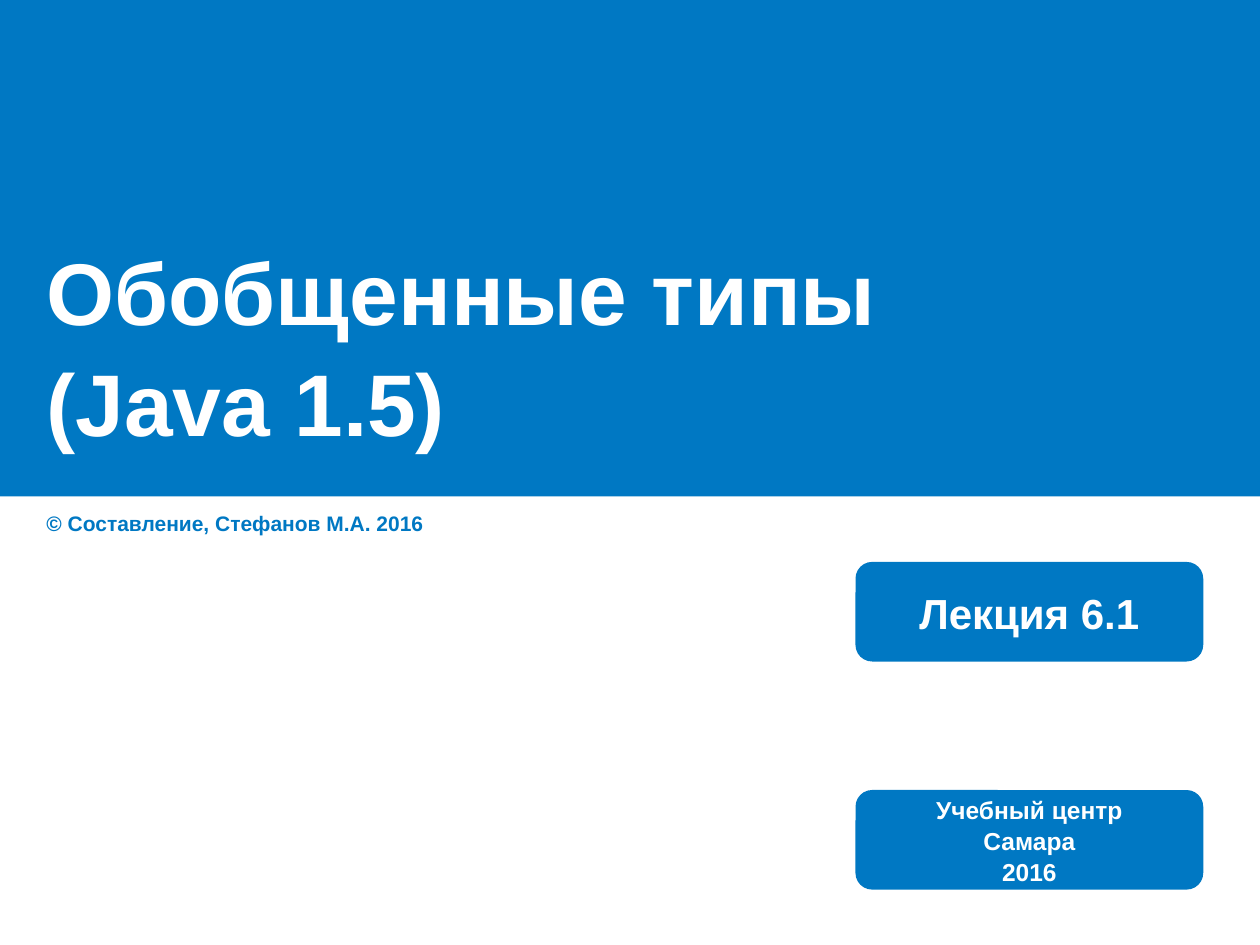
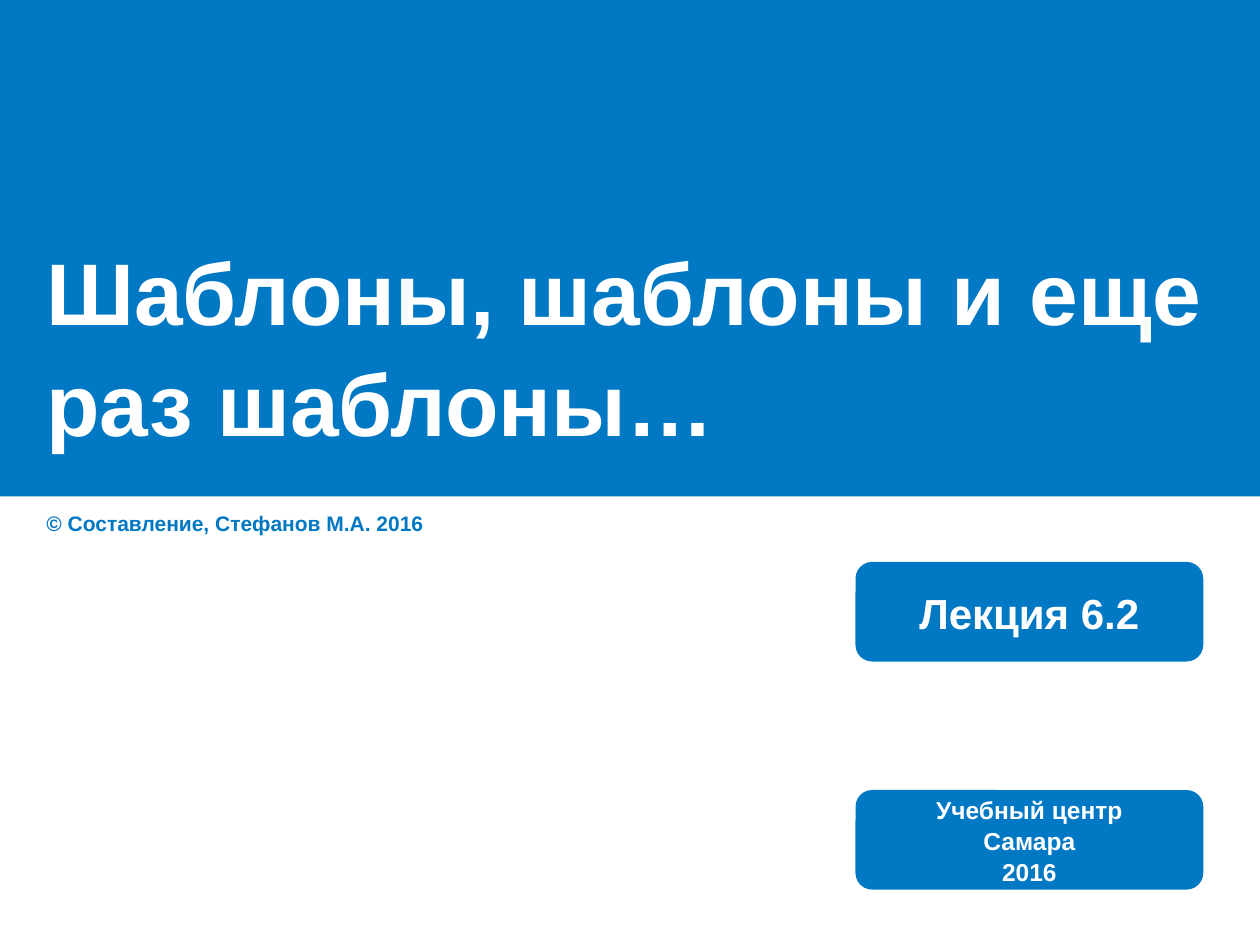
import dataclasses

import pptx
import pptx.dml.color
import pptx.enum.shapes
import pptx.enum.text
import pptx.util

Inches = pptx.util.Inches
Shape = pptx.enum.shapes.MSO_SHAPE
Align = pptx.enum.text.PP_ALIGN
Anchor = pptx.enum.text.MSO_ANCHOR


@dataclasses.dataclass(frozen=True)
class Theme:
    blue: pptx.dml.color.RGBColor = pptx.dml.color.RGBColor(0x00, 0x78, 0xC3)
    white: pptx.dml.color.RGBColor = pptx.dml.color.RGBColor(0xFF, 0xFF, 0xFF)
    font: str = "Arial"
    title_size: int = 50
    lecture_size: int = 24
    school_size: int = 14
    copyright_size: int = 12
    line_spacing: float = 1.05


theme = Theme()


def add_blue_shape(slide, preset, left, top, width, height):
    shape = slide.shapes.add_shape(
        preset, Inches(left), Inches(top), Inches(width), Inches(height)
    )
    shape.shadow.inherit = False
    shape.fill.solid()
    shape.fill.fore_color.rgb = theme.blue
    shape.line.fill.background()
    return shape


def write_text(frame, text, size, color, align=Align.LEFT):
    frame.text = text
    for paragraph in frame.paragraphs:
        paragraph.alignment = align
        paragraph.line_spacing = theme.line_spacing
        paragraph.font.name = theme.font
        paragraph.font.size = pptx.util.Pt(size)
        paragraph.font.bold = True
        paragraph.font.color.rgb = color


lectures = [
    ("Обобщенные типы\v(Java 1.5)", "Лекция 6.1"),
    ("Шаблоны, шаблоны и еще раз шаблоны…", "Лекция 6.2"),
]
copyright_line = "© Составление, Стефанов М.А. 2016"
school = "Учебный центр\nСамара\n2016"

deck = pptx.Presentation()
deck.slide_width = Inches(10)
deck.slide_height = Inches(7.5)

for topic, lecture_number in lectures:
    slide = deck.slides.add_slide(deck.slide_layouts[6])
    add_blue_shape(slide, Shape.RECTANGLE, 0, 0, 10, 3.94)

    title = slide.shapes.add_textbox(
        Inches(0.27), Inches(1.49), Inches(9.45), Inches(2.42)
    ).text_frame
    title.word_wrap = True
    title.vertical_anchor = Anchor.MIDDLE
    title.margin_bottom = 0
    write_text(title, topic, theme.title_size, theme.white)

    author = slide.shapes.add_textbox(
        Inches(0.27), Inches(3.99), Inches(4.88), Inches(0.3)
    ).text_frame
    author.word_wrap = True
    write_text(author, copyright_line, theme.copyright_size, theme.blue)

    for label, top, size in [
        (lecture_number, 4.46, theme.lecture_size),
        (school, 6.27, theme.school_size),
    ]:
        badge = add_blue_shape(slide, Shape.ROUNDED_RECTANGLE, 6.79, top, 2.76, 0.79)
        badge.text_frame.word_wrap = False
        badge.text_frame.vertical_anchor = Anchor.MIDDLE
        write_text(badge.text_frame, label, size, theme.white, Align.CENTER)

deck.save("out.pptx")
